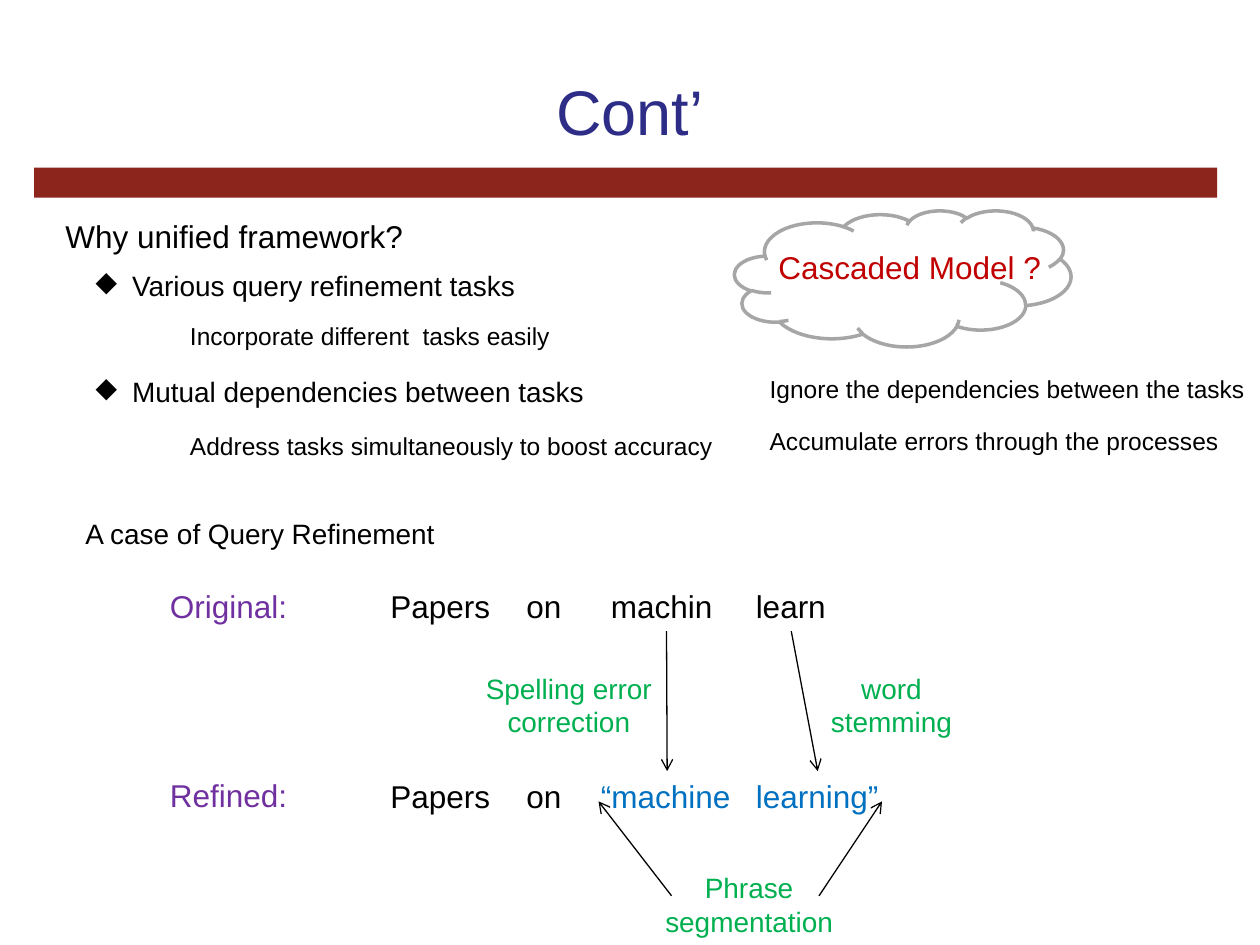
from dataclasses import dataclass

import pptx
import pptx.dml.color
import pptx.enum.shapes
import pptx.enum.text
import pptx.oxml
import pptx.oxml.ns
import pptx.util
from pptx.util import Inches

FONT = "Arial"
BLACK, PURPLE, GREEN, BLUE = "000000", "7030A0", "00B050", "0070C0"
ALIGN = pptx.enum.text.PP_ALIGN
SHAPES = pptx.enum.shapes.MSO_SHAPE


@dataclass
class Label:
    text: str
    left: float
    top: float
    width: float
    height: float
    size: int
    color: str = BLACK
    centered: bool = False
    bullet: bool = False


def rgb(color: str) -> pptx.dml.color.RGBColor:
    return pptx.dml.color.RGBColor.from_string(color)


def add_element(parent, tag: str, **attributes: str) -> None:
    element = pptx.oxml.parse_xml(f"<{tag} {pptx.oxml.ns.nsdecls('a')}/>")
    for name, value in attributes.items():
        element.set(name, value)
    parent.append(element)


def format_font(font, size: int, color: str) -> None:
    font.name = FONT
    font.size = pptx.util.Pt(size)
    font.color.rgb = rgb(color)


def add_label(slide, label: Label):
    box = slide.shapes.add_textbox(Inches(label.left), Inches(label.top),
                                   Inches(label.width), Inches(label.height))
    frame = box.text_frame
    frame.text = label.text
    frame.word_wrap = False
    frame.auto_size = pptx.enum.text.MSO_AUTO_SIZE.SHAPE_TO_FIT_TEXT
    for paragraph in frame.paragraphs:
        paragraph.alignment = ALIGN.CENTER if label.centered else ALIGN.LEFT
        if label.bullet:
            properties = paragraph._p.get_or_add_pPr()
            properties.set("marL", str(Inches(0.29)))
            properties.set("indent", str(-Inches(0.29)))
            add_element(properties, "a:buChar", char="◆")
        for run in paragraph.runs:
            format_font(run.font, label.size, label.color)
    return box


def add_arrow(slide, start: tuple[float, float] = (0, 0), end: tuple[float, float] = (0, 0)):
    arrow = slide.shapes.add_connector(pptx.enum.shapes.MSO_CONNECTOR.STRAIGHT,
                                       *map(Inches, start + end))
    arrow.line.color.rgb = rgb(BLACK)
    arrow.line.width = pptx.util.Pt(0.75)
    add_element(arrow.line._get_or_add_ln(), "a:tailEnd", type="arrow")
    add_element(arrow._element.spPr, "a:effectLst")
    return arrow


def join_boxes(slide, upper, lower) -> None:
    arrow = add_arrow(slide)
    arrow.begin_connect(upper, 2)
    arrow.end_connect(lower, 0)


def add_plain_shape(slide, kind, left: float, top: float, width: float, height: float):
    shape = slide.shapes.add_shape(kind, *map(Inches, (left, top, width, height)))
    shape.shadow.inherit = False
    return shape


ARGUMENTS = [
    Label("Why unified framework?", 0.42, 1.67, 2.91, 0.4, 18),
    Label("Various query refinement tasks", 0.66, 2.08, 3.55, 0.37, 16, bullet=True),
    Label("Incorporate different  tasks easily", 1.41, 2.5, 3.07, 0.34, 14),
    Label("Mutual dependencies between tasks", 0.66, 2.92, 4.12, 0.37, 16, bullet=True),
    Label("Address tasks simultaneously to boost accuracy", 1.41, 3.37, 4.37, 0.34, 14),
    Label("Cascaded Model ?", 6.08, 1.92, 2.31, 0.4, 18, "C00000"),
    Label("Ignore the dependencies between the tasks", 6.01, 2.92, 3.99, 0.34, 14),
    Label("Accumulate errors through the processes", 6.01, 3.33, 3.78, 0.34, 14),
    Label("A case of Query Refinement", 0.58, 4.05, 3.01, 0.37, 16),
]
ORIGINAL_TOP, REFINED_TOP = 4.61, 6.12
ROW_NAMES = [("Original:", ORIGINAL_TOP), ("Refined:", REFINED_TOP - 0.01)]
SHARED_WORDS = [("Papers", 3, 1), ("on", 4.08, 0.48)]
# Each query word: original (text, left, width), then refined
WORD_PAIRS = [
    (("machin", 4.75, 1.08), ("“machine", 4.67, 1.25)),
    (("learn", 5.9, 0.76), ("learning”", 5.9, 1.18)),
]
OPERATIONS = [
    Label("Spelling error\ncorrection", 3.75, 5.28, 1.53, 0.64, 16, GREEN, centered=True),
    Label("word\nstemming", 6.49, 5.28, 1.17, 0.64, 16, GREEN, centered=True),
    Label("Phrase\nsegmentation", 5.17, 6.86, 1.55, 0.64, 16, GREEN, centered=True),
]
PHRASE_ARROWS = [((6.5, 7.11), (7, 6.36)), ((5.33, 7.11), (4.75, 6.36))]


def add_word(slide, word: tuple[str, float, float], top: float, color: str = BLACK):
    text, left, width = word
    return add_label(slide, Label(text, left, top, width, 0.4, 18, color))


def main() -> None:
    presentation = pptx.Presentation()
    presentation.slide_width, presentation.slide_height = Inches(10), Inches(7.5)
    slide = presentation.slides.add_slide(presentation.slide_layouts[5])

    # Title and the bar below it
    title = slide.shapes.title
    title.left, title.top, title.width, title.height = map(Inches, (0.5, 0.25, 9, 1.25))
    title.text_frame.text = "Cont’"
    title.text_frame.auto_size = pptx.enum.text.MSO_AUTO_SIZE.NONE
    title.text_frame.vertical_anchor = pptx.enum.text.MSO_ANCHOR.MIDDLE
    title.text_frame.paragraphs[0].alignment = ALIGN.CENTER
    format_font(title.text_frame.paragraphs[0].runs[0].font, 36, "2D2D87")
    bar = add_plain_shape(slide, SHAPES.RECTANGLE, 0.27, 1.33, 9.39, 0.24)
    bar.fill.solid()
    bar.fill.fore_color.rgb = rgb("8C261C")
    bar.line.fill.background()

    # Arguments and the cloud
    for label in ARGUMENTS:
        add_label(slide, label)
    cloud = add_plain_shape(slide, SHAPES.CLOUD, 5.83, 1.67, 2.67, 1.08)
    cloud.fill.background()
    cloud.line.color.rgb = rgb("A6A6A6")
    cloud.line.width = pptx.util.Pt(2)

    # Original and refined query
    for text, top in ROW_NAMES:
        add_word(slide, (text, 1.25, 1.14), top, PURPLE)
    for word in SHARED_WORDS:
        for top in (ORIGINAL_TOP, REFINED_TOP):
            add_word(slide, word, top)
    for original, refined in WORD_PAIRS:
        join_boxes(slide, add_word(slide, original, ORIGINAL_TOP),
                   add_word(slide, refined, REFINED_TOP, BLUE))

    # Refinement operations
    for label in OPERATIONS:
        add_label(slide, label)
    for start, end in PHRASE_ARROWS:
        add_arrow(slide, start, end)

    presentation.save("out.pptx")


if __name__ == "__main__":
    main()
